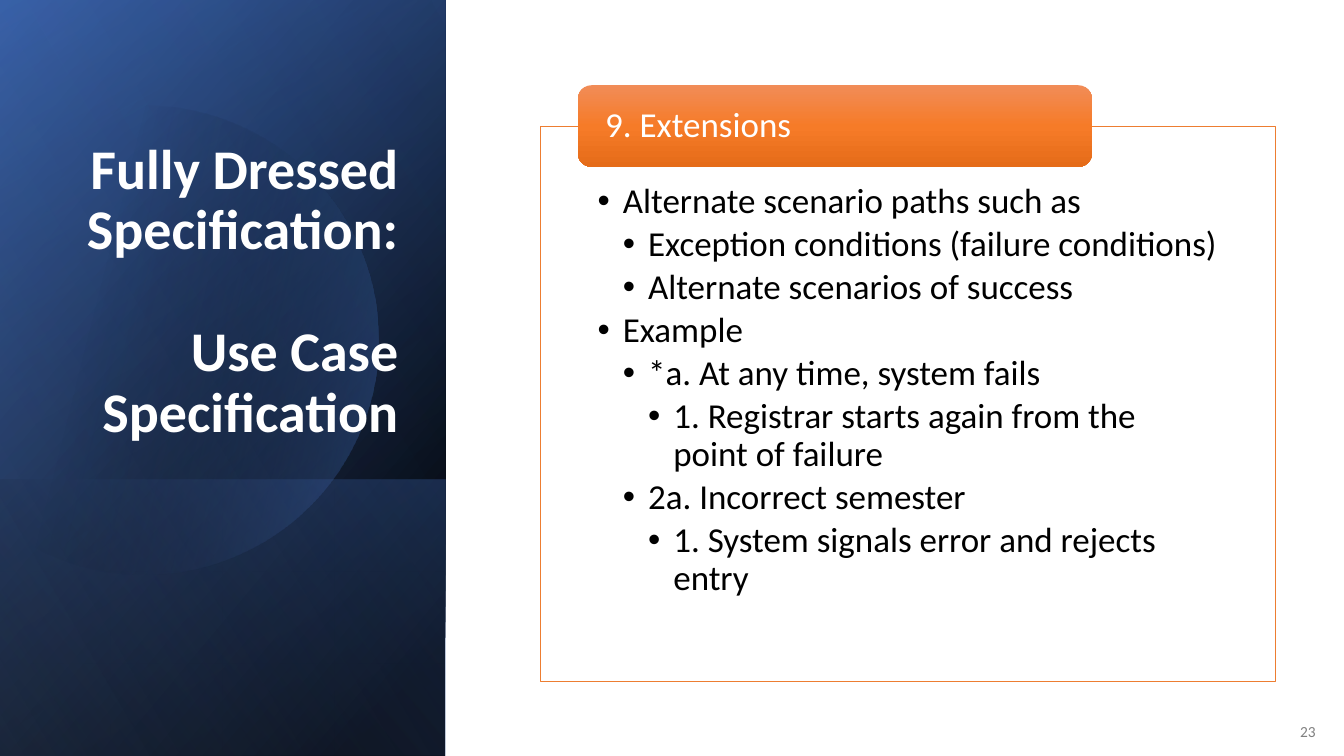
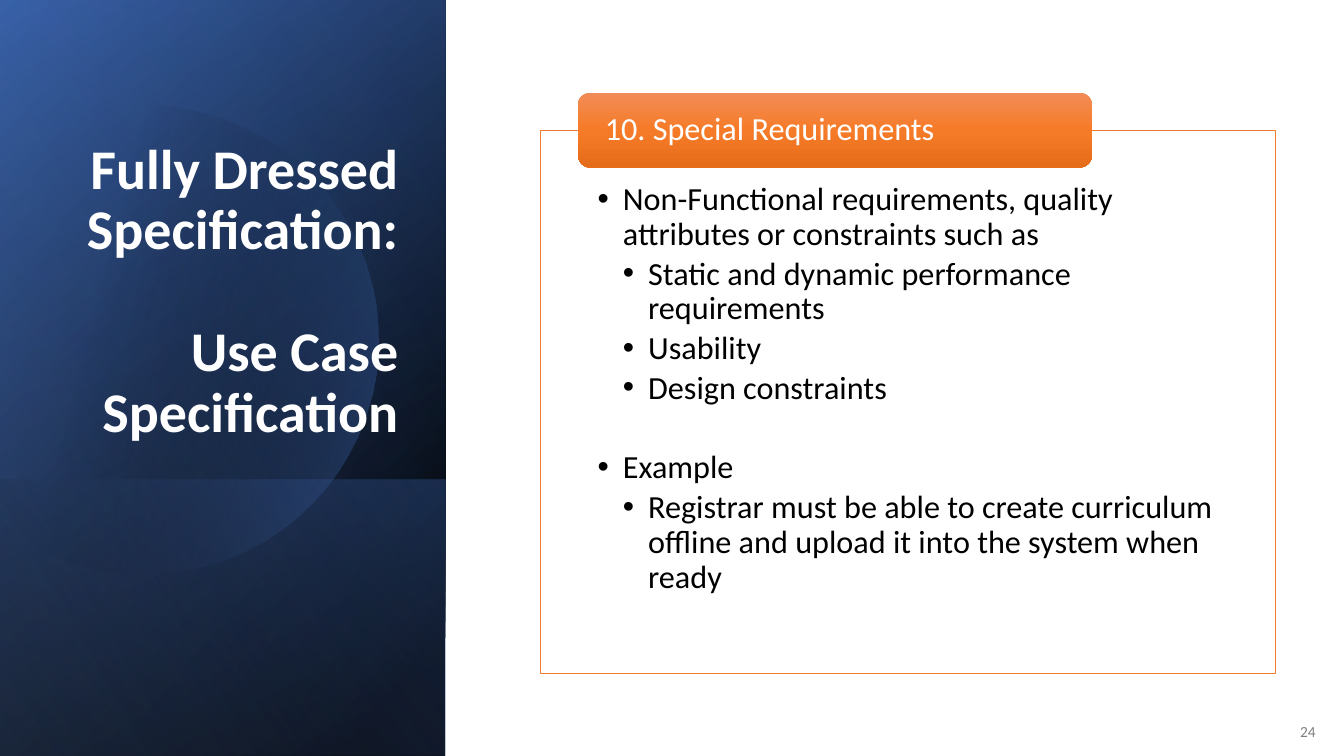
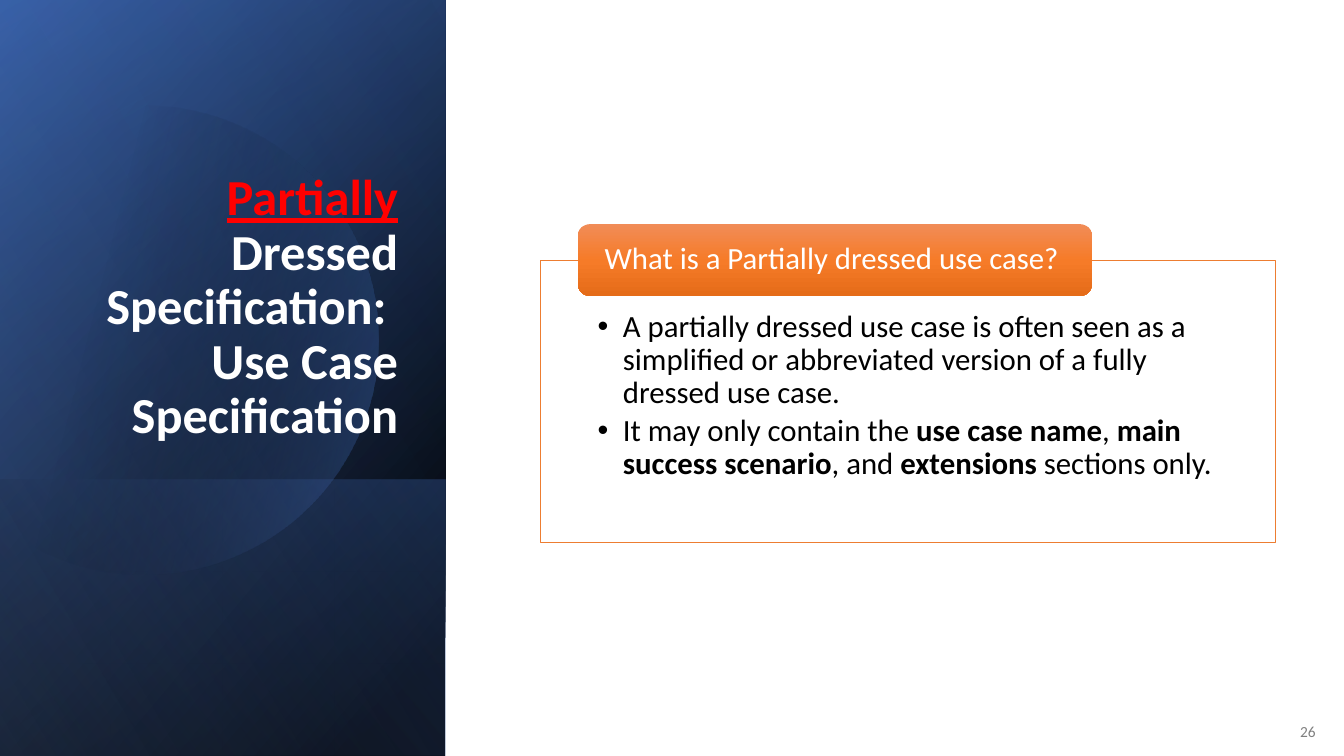
from dataclasses import dataclass
from math import acos, cos, sin
from typing import Any

from lxml.etree import SubElement as Sub
from pptx import Presentation
from pptx.dml.color import RGBColor as Rgb
from pptx.enum.shapes import MSO_SHAPE as Kind
from pptx.enum.text import MSO_ANCHOR as Anchor, PP_ALIGN as Align
from pptx.oxml.ns import qn
from pptx.util import Inches, Pt

WIDE, HIGH = Inches(13.33), Inches(7.5)
FONT = "Calibri"
HUES = {
    "white": "FFFFFF", "black": "000000", "red": "FF0000", "gray": "808080",
    "navy": "2F5597", "blue": "4472C4", "sky": "8FAADC", "edge": "ED7D31",
    "light": "F18C57", "mid": "F67B28", "deep": "E56C19",
}
MARK = {"bold": True}
ALERT = {"hue": "red", "underline": True}


@dataclass
class Box:
    """A rectangle in percent of the slide's width and height."""
    left: float
    top: float
    width: float
    height: float

    def emu(self) -> tuple[int, int, int, int]:
        """Return left, top, width and height in EMU."""
        return (int(WIDE * self.left / 100), int(HIGH * self.top / 100),
                int(WIDE * self.width / 100), int(HIGH * self.height / 100))


@dataclass
class Stop:
    """A gradient stop: place, hue and opacity in percent."""
    place: int
    hue: str
    alpha: int = 100


@dataclass
class Blend:
    """A linear gradient with its angle in degrees."""
    angle: int
    stops: tuple[Stop, ...]


@dataclass
class Veil:
    """A gradient layer of the side band."""
    box: Box
    blend: Blend


@dataclass
class Item:
    """A bullet with its level, and a gap above it in lines."""
    level: int
    text: str
    gap: float = 0


@dataclass
class Page:
    """The content of one slide."""
    number: str
    title: tuple[str, str]
    large: int
    gap: float
    head: str
    size: int
    top: float
    height: float
    items: tuple[Item, ...]


BAND = Box(0, 0, 33.15, 100)
FOOT = Box(0, 63.47, 33.15, 36.53)
TITLE = Box(4.8, 24.53, 25.57, 34.93)
COUNT = Box(96, 94.13, 3.67, 5.33)
BACK = (
    Veil(BAND, Blend(50, (Stop(8, "black"), Stop(100, "navy")))),
    Veil(BAND, Blend(30, (Stop(0, "black", 0), Stop(99, "blue", 46)))),
    Veil(FOOT, Blend(130, (Stop(2, "blue", 29), Stop(100, "black", 30)))),
)
FRONT = Veil(BAND, Blend(120, (Stop(0, "black", 0), Stop(99, "sky", 11))))
DISC = Blend(14, (Stop(29, "black", 0), Stop(100, "blue", 43)))
GLOW = Blend(90, (Stop(0, "light"), Stop(50, "mid"), Stop(100, "deep")))
FULL = ("Fully Dressed Specification:", "Use Case Specification")
PART = ("|Partially| Dressed Specification: ", "Use Case Specification")

PAGES = (
    Page("23", FULL, 40, 1.1, "9. Extensions", 25, 16.67, 73.47, (
        Item(1, "Alternate scenario paths such as"),
        Item(2, "Exception conditions (failure conditions)"),
        Item(2, "Alternate scenarios of success"),
        Item(1, "Example"),
        Item(2, "*a. At any time, system fails"),
        Item(3, "1. Registrar starts again from the point of failure"),
        Item(2, "2a. Incorrect semester"),
        Item(3, "1. System signals error and rejects entry"),
    )),
    Page("24", FULL, 40, 1.1, "10. Special Requirements", 23, 17.2, 71.87, (
        Item(1, "Non-Functional requirements, quality attributes or "
                "constraints such as"),
        Item(2, "Static and dynamic performance requirements"),
        Item(2, "Usability"),
        Item(2, "Design constraints"),
        Item(1, "Example", 1.25),
        Item(2, "Registrar must be able to create curriculum offline and "
                "upload it into the system when ready"),
    )),
    Page("26", PART, 36, 0, "What is a Partially dressed use case?", 22,
         34.4, 37.33, (
             Item(1, "A partially dressed use case is often seen as a "
                     "simplified or abbreviated version of a fully dressed "
                     "use case."),
             Item(1, "It may only contain the |use case name|, |main success "
                     "scenario|, and |extensions| sections only."),
         )),
)


def tint(name: str) -> Rgb:
    """Look up a colour by name."""
    return Rgb.from_string(HUES[name])


def put(thing: Any, **form: Any) -> None:
    """Set each format value on an object."""
    for name, value in form.items():
        setattr(thing, name, value)


def bare(shape: Any) -> None:
    """Take away shadow, fill and line."""
    shape.shadow.inherit = False
    shape.fill.background()
    shape.line.fill.background()


def shade(shape: Any, blend: Blend) -> None:
    """Fill a shape with a gradient."""
    bare(shape)
    old = shape._element.spPr.find(qn("a:noFill"))
    grad = old.makeelement(qn("a:gradFill"), {"rotWithShape": "1"})
    stops = Sub(grad, qn("a:gsLst"))
    for stop in blend.stops:
        node = Sub(stops, qn("a:gs"), pos=str(stop.place * 1000))
        hue = Sub(node, qn("a:srgbClr"), val=HUES[stop.hue])
        if stop.alpha < 100:
            Sub(hue, qn("a:alpha"), val=str(stop.alpha * 1000))
    Sub(grad, qn("a:lin"), ang=str(blend.angle * 60000), scaled="0")
    old.getparent().replace(old, grad)


def frame(shape: Any, anchor: Any, pads: tuple[int, int, int, int]) -> Any:
    """Set up the text frame of a shape."""
    text = shape.text_frame
    sides = ("margin_left", "margin_top", "margin_right", "margin_bottom")
    put(text, word_wrap=True, vertical_anchor=anchor, **dict(zip(sides, pads)))
    return text


def write(par: Any, text: str, size: int, hue: str, bold: bool = False,
          mark: dict[str, Any] = MARK) -> None:
    """Write text, with the mark style on each part between bars."""
    for i, part in enumerate(text.split("|")):
        if part:
            form = {"name": FONT, "size": Pt(size), "bold": bold, "hue": hue}
            form.update(mark if i % 2 else {})
            run = par.add_run()
            run.text = part
            run.font.color.rgb = tint(form.pop("hue"))
            put(run.font, **form)


def next_par(text: Any, i: int) -> Any:
    """Return the first paragraph or a new one."""
    return text.add_paragraph() if i else text.paragraphs[0]


def veil(slide: Any, layer: Veil) -> None:
    """Draw a gradient layer turned on its side."""
    x, y, w, h = layer.box.emu()
    shape = slide.shapes.add_shape(
        Kind.RECTANGLE, x + (w - h) // 2, y + (h - w) // 2, h, w)
    shape.rotation = 90
    shape._element.spPr.get_or_add_xfrm().set("flipH", "1")
    shade(shape, layer.blend)


def disc(slide: Any) -> None:
    """Draw the circle that the slide's left edge cuts."""
    x, y, r = (int(HIGH * part) for part in (0.19, 0.45, 0.31))
    end, steps = acos(-x / r), 120
    turns = [end * (2 * i / steps - 1) for i in range(steps + 1)]
    dots = [(int(x + r * cos(t)), int(y + r * sin(t))) for t in turns]
    path = slide.shapes.build_freeform(*dots[0])
    path.add_line_segments(dots[1:], close=True)
    shade(path.convert_to_shape(), DISC)


def band(slide: Any, page: Page) -> None:
    """Draw the side band, the title and the slide number."""
    for layer in BACK:
        veil(slide, layer)
    disc(slide)
    veil(slide, FRONT)
    pads = (Inches(0.1), Inches(0.05)) * 2
    text = frame(slide.shapes.add_textbox(*TITLE.emu()), Anchor.BOTTOM, pads)
    for i, line in enumerate(page.title):
        par = next_par(text, i)
        put(par, alignment=Align.RIGHT, line_spacing=0.9)
        if i and page.gap:
            par.space_before = Pt(page.large * page.gap)
        write(par, line, page.large, "white", True, ALERT)
    text = frame(slide.shapes.add_textbox(*COUNT.emu()), Anchor.MIDDLE, pads)
    write(text.paragraphs[0], page.number, 11, "gray")


def panel(slide: Any, page: Page) -> None:
    """Draw the framed list."""
    box = Box(40.2, page.top, 54.67, page.height)
    shape = slide.shapes.add_shape(Kind.RECTANGLE, *box.emu())
    bare(shape)
    shape.fill.solid()
    shape.fill.fore_color.rgb = tint("white")
    shape.line.color.rgb = tint("edge")
    shape.line.width = Pt(0.5)
    side = Inches(0.57)
    text = frame(shape, Anchor.TOP,
                 (side, Pt(page.size * 1.64), side, Inches(0.18)))
    for i, item in enumerate(page.items):
        par = next_par(text, i)
        props = par._p.get_or_add_pPr()
        step = Inches(0.25)
        props.set("marL", str(step * item.level))
        props.set("indent", str(-step))
        Sub(props, qn("a:buFont"), typeface="Arial")
        Sub(props, qn("a:buChar"), char="•")
        put(par, level=item.level, alignment=Align.LEFT, line_spacing=0.9,
            space_after=Pt(page.size * 0.15))
        if item.gap:
            par.space_before = Pt(page.size * item.gap)
        write(par, item.text, page.size, "black")


def tab(slide: Any, page: Page) -> None:
    """Draw the heading centred on the panel's top edge."""
    x, y, w, _ = Box(43, page.top, 38.25, 0).emu()
    h = Pt(page.size * 2.33)
    shape = slide.shapes.add_shape(
        Kind.ROUNDED_RECTANGLE, x, y - h // 2, w, h)
    shade(shape, GLOW)
    text = frame(shape, Anchor.MIDDLE, (Inches(0.23), 0) * 2)
    par = text.paragraphs[0]
    put(par, alignment=Align.LEFT, line_spacing=0.9)
    write(par, page.head, page.size, "white")


def main() -> None:
    """Build and save the slides."""
    deck = Presentation()
    put(deck, slide_width=WIDE, slide_height=HIGH)
    for page in PAGES:
        slide = deck.slides.add_slide(deck.slide_layouts[6])
        for draw in (band, panel, tab):
            draw(slide, page)
    deck.save("out.pptx")


if __name__ == "__main__":
    main()
